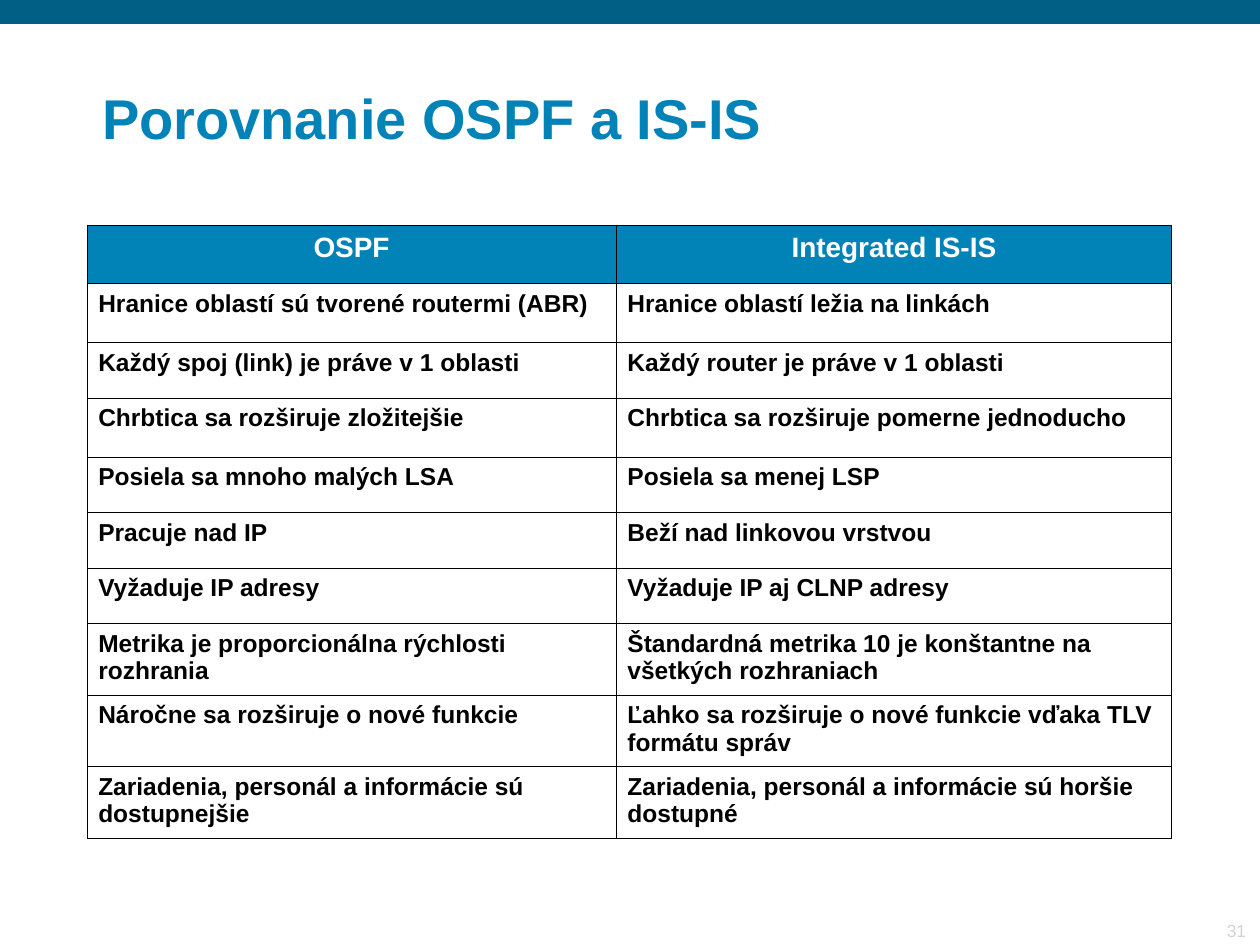
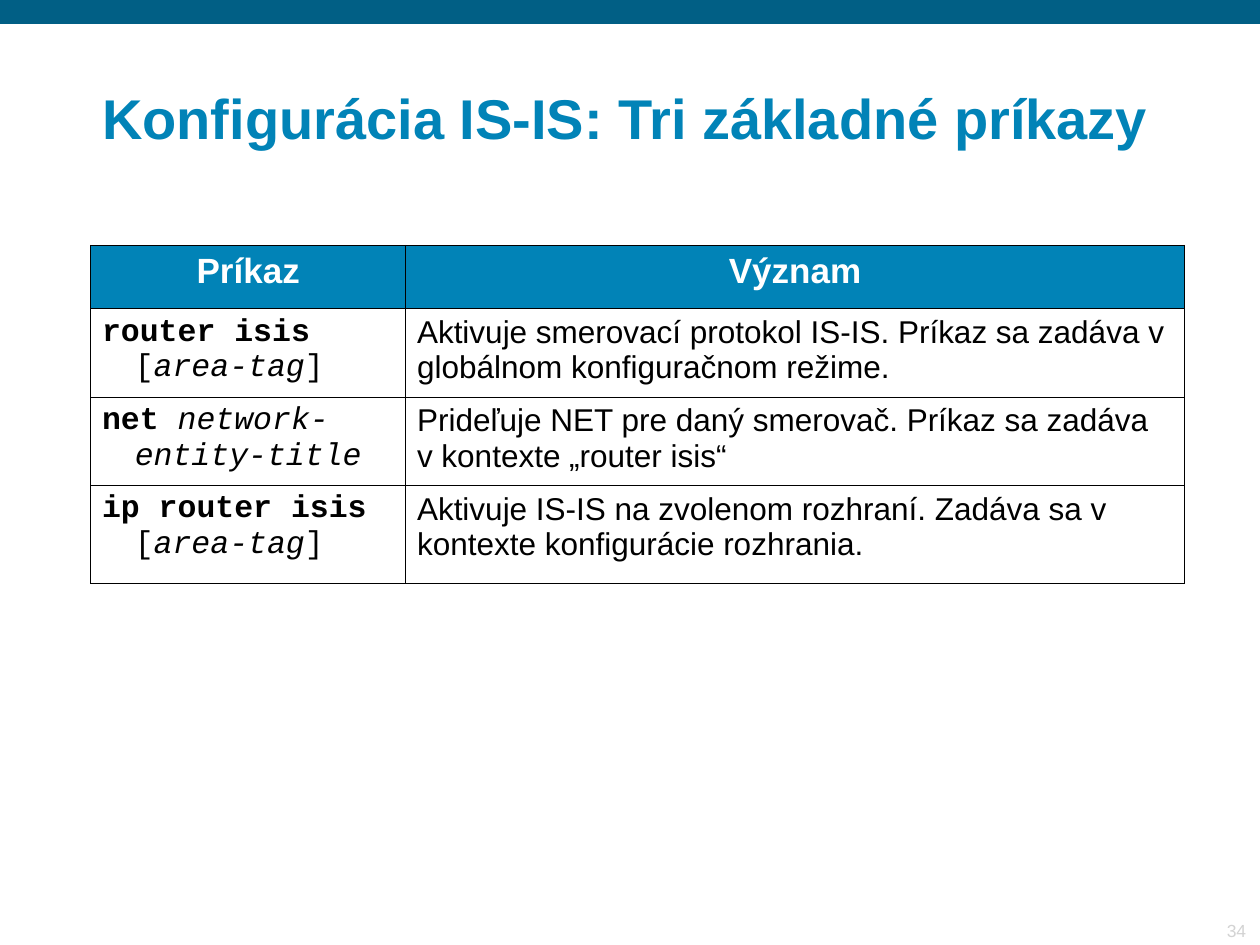
from dataclasses import dataclass
from lxml import etree
from pptx import Presentation
from pptx.dml.color import RGBColor as Color
from pptx.enum.shapes import MSO_SHAPE as Shape
from pptx.enum.text import MSO_ANCHOR as Anchor, PP_ALIGN as Align
from pptx.oxml.ns import qn
from pptx.util import Inches, Pt


@dataclass(frozen=True)
class Theme:
    band: Color = Color.from_string("015F85")
    accent: Color = Color.from_string("0183B7")
    white: Color = Color.from_string("FFFFFF")
    black: Color = Color.from_string("000000")
    number: Color = Color.from_string("D3D3D3")
    sans: str = "Arial"
    mono: str = "Courier New"
    title_size: int = 32
    number_size: int = 10
    border: float = 0.45
    heavy_border: float = 0.96


theme = Theme()


def style(span, size, color, bold=False, italic=False, name=theme.sans):
    font = span.font
    font.name, font.size, font.bold, font.italic = name, Pt(size), bold, italic
    font.color.rgb = color


def draw_borders(cell, widths):
    """Line the cell; widths are points for the sides L, R, T and B."""
    properties = cell._tc.get_or_add_tcPr()
    for position, (side, width) in enumerate(zip("LRTB", widths)):
        line = etree.Element(qn(f"a:ln{side}"), w=str(Pt(width)))
        fill = etree.SubElement(line, qn("a:solidFill"))
        etree.SubElement(fill, qn("a:srgbClr"), val=str(theme.black))
        properties.insert(position, line)


area_tag = [("[", ""), ("area-tag", "i"), ("]", "")]

# A cell is plain text, or a command: a list of (text, "b" / "i" / "").
pages = [
    dict(
        title="Porovnanie OSPF a IS-IS", number=31,
        left=0.69, top=1.79, columns=[4.2, 4.41],
        heights=[0.46, 0.47, 0.44, 0.47] + [0.44] * 3 + [0.56] * 3,
        header_size=16, body_size=14, body_bold=True,
        rows=[
            ("OSPF", "Integrated IS-IS"),
            ("Hranice oblastí sú tvorené routermi (ABR)",
             "Hranice oblastí ležia na linkách"),
            ("Každý spoj (link) je práve v 1 oblasti",
             "Každý router je práve v 1 oblasti"),
            ("Chrbtica sa rozširuje zložitejšie",
             "Chrbtica sa rozširuje pomerne jednoducho"),
            ("Posiela sa mnoho malých LSA", "Posiela sa menej LSP"),
            ("Pracuje nad IP", "Beží nad linkovou vrstvou"),
            ("Vyžaduje IP adresy", "Vyžaduje IP aj CLNP adresy"),
            ("Metrika je proporcionálna rýchlosti rozhrania",
             "Štandardná metrika 10 je konštantne na všetkých rozhraniach"),
            ("Náročne sa rozširuje o nové funkcie",
             "Ľahko sa rozširuje o nové funkcie vďaka TLV formátu správ"),
            ("Zariadenia, personál a informácie sú dostupnejšie",
             "Zariadenia, personál a informácie sú horšie dostupné"),
        ],
    ),
    dict(
        title="Konfigurácia IS-IS: Tri základné príkazy", number=34,
        left=0.72, top=1.95, columns=[2.5, 6.18],
        heights=[0.5, 0.69, 0.69, 0.78],
        header_size=20, body_size=18, body_bold=False,
        rows=[
            ("Príkaz", "Význam"),
            ([("router isis ", "b")] + area_tag,
             "Aktivuje smerovací protokol IS-IS. Príkaz sa zadáva v "
             "globálnom konfiguračnom režime."),
            ([("net ", "b"), ("network-entity-title", "i")],
             "Prideľuje NET pre daný smerovač. Príkaz sa zadáva v "
             "kontexte „router isis“"),
            ([("ip router isis ", "b")] + area_tag,
             "Aktivuje IS-IS na zvolenom rozhraní. Zadáva sa v "
             "kontexte konfigurácie rozhrania."),
        ],
    ),
]

deck = Presentation()
deck.slide_width, deck.slide_height = Inches(10), Inches(7.5)

for page in pages:
    slide = deck.slides.add_slide(deck.slide_layouts[6])

    band = slide.shapes.add_shape(Shape.RECTANGLE, 0, 0, deck.slide_width, Inches(0.19))
    band.shadow.inherit = False
    band.fill.solid()
    band.fill.fore_color.rgb = theme.band
    band.line.fill.background()

    labels = [
        (str(page["number"]), (9.17, 7.25, 0.81, 0.26), Anchor.BOTTOM,
         Align.RIGHT, 1, (theme.number_size, theme.number)),
        (page["title"], (0.72, 0.5, 8.91, 0.92), Anchor.MIDDLE,
         Align.LEFT, 0.9, (theme.title_size, theme.accent, True)),
    ]
    for text, place, anchor, alignment, spacing, look in labels:
        box = slide.shapes.add_textbox(*map(Inches, place))
        frame = box.text_frame
        frame.word_wrap = True
        frame.vertical_anchor = anchor
        frame.margin_left = frame.margin_right = Inches(0.09)
        frame.margin_top = frame.margin_bottom = Inches(0.04)
        frame.text = text
        para = frame.paragraphs[0]
        para.alignment, para.line_spacing = alignment, spacing
        style(para.runs[0], *look)

    columns, heights, rows = page["columns"], page["heights"], page["rows"]
    table = slide.shapes.add_table(
        len(rows), len(columns), Inches(page["left"]), Inches(page["top"]),
        Inches(sum(columns)), Inches(sum(heights))).table
    table.first_row = table.horz_banding = False
    for column, width in zip(table.columns, columns):
        column.width = Inches(width)

    for row_index, (row, height) in enumerate(zip(rows, heights)):
        table.rows[row_index].height = Inches(height)
        is_header = row_index == 0
        for column_index, content in enumerate(row):
            cell = table.cell(row_index, column_index)
            cell.margin_left = cell.margin_right = Inches(0.09)
            cell.margin_top = cell.margin_bottom = Inches(0.05)
            para = cell.text_frame.paragraphs[0]
            if isinstance(content, list):
                properties = para._p.get_or_add_pPr()
                properties.set("marL", str(Inches(0.26)))
                properties.set("indent", str(Inches(-0.26)))
                for text, emphasis in content:
                    span = para.add_run()
                    span.text = text
                    style(span, page["body_size"], theme.black,
                          emphasis == "b", emphasis == "i", theme.mono)
            else:
                para.text = content
                if is_header:
                    para.alignment = Align.CENTER
                    style(para.runs[0], page["header_size"], theme.white, True)
                else:
                    style(para.runs[0], page["body_size"], theme.black, page["body_bold"])

            if is_header:
                cell.fill.solid()
                cell.fill.fore_color.rgb = theme.accent
            else:
                cell.fill.background()
            above = theme.heavy_border if row_index < 2 else theme.border
            below = theme.heavy_border if is_header else theme.border
            draw_borders(cell, (theme.border, theme.border, above, below))

deck.save("out.pptx")
